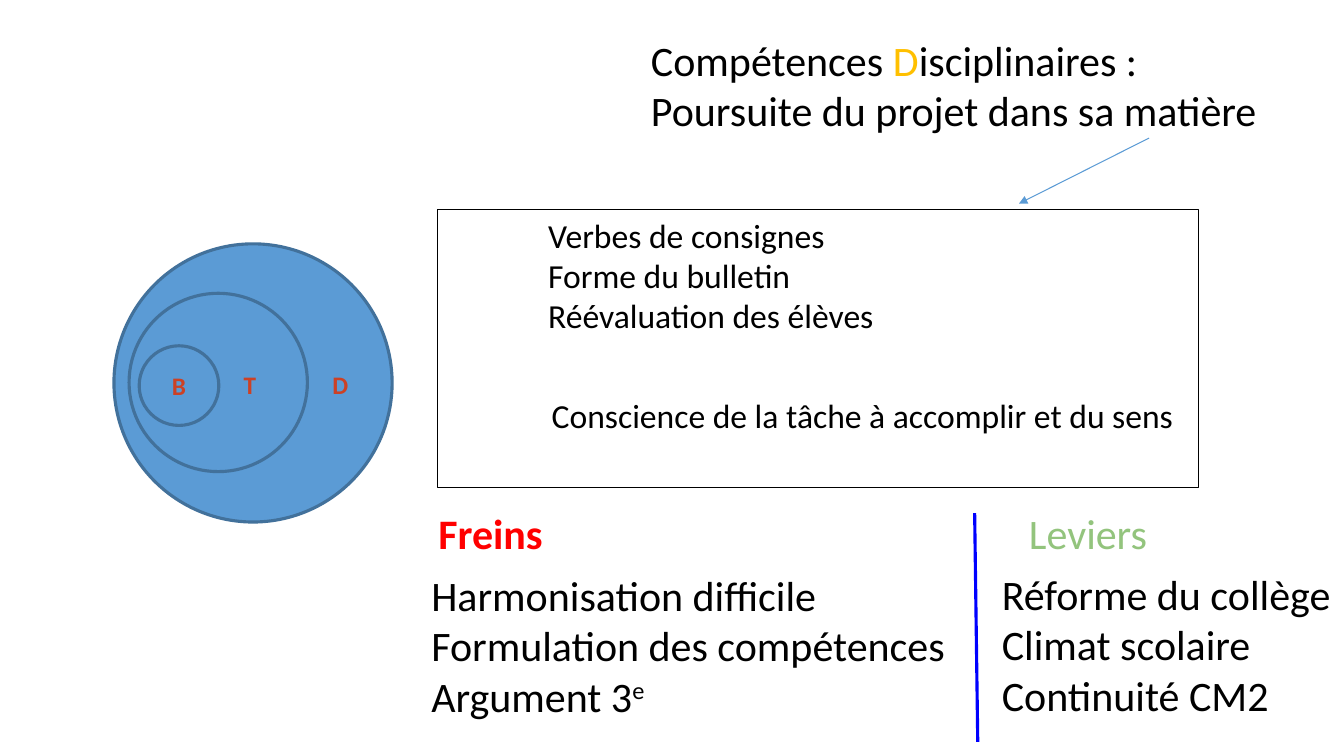
"""Builds the slide on subject skills, with its obstacles and levers."""
import pptx
import pptx.dml.color
import pptx.enum.shapes
import pptx.enum.text
import pptx.oxml
import pptx.util
from pptx.oxml.ns import qn

Pt = pptx.util.Pt
Shape = pptx.enum.shapes.MSO_SHAPE

THEME = {
    "font": "Calibri",
    "big": 30, "mid": 24, "small": 18,
    "ink": "000000", "gold": "FFC000", "brick": "CC4125",
    "red": "FF0000", "green": "93C47D",
    "disc": "5B9BD5", "rim": "42719B", "rule": "0000FF",
    "thin": 0.75, "thick": 2.25,
}

DISCS = [(81.4, 174.2, 198.7), (92.2, 209.5, 127.4), (99.4, 247, 56.9)]
CORE = "B"

# Each text: place, size, bold, lines of (words, colour, raised) runs
TEXTS = [
    ((167, 260.6, 23, 28.8), "small", True, [[("T", "brick", False)]]),
    ((230.4, 260.6, 25.9, 28.8), "small", True, [[("D", "brick", False)]]),
    ((457.9, 20.9, 487.4, 116.6), "big", False, [
        [("Compétences ", "ink", False), ("D", "gold", False),
         ("isciplinaires :", "ink", False)],
        [("Poursuite du projet dans sa matière", "ink", False)]]),
    ((301, 403.2, 385.2, 116.6), "big", False, [
        [("Harmonisation difficile", "ink", False)],
        [("Formulation des compétences", "ink", False)],
        [("Argument 3", "ink", False), ("e", "ink", True)]]),
    ((708.5, 402.5, 251.3, 116.6), "big", False, [
        [("Réforme du collège", "ink", False)],
        [("Climat scolaire", "ink", False)],
        [("Continuité CM2", "ink", False)]]),
    ((727.9, 359.3, 99.4, 43.9), "big", False, [[("Leviers", "green", False)]]),
    ((306, 359.3, 104.4, 43.9), "big", True, [[("Freins", "red", False)]]),
]

PANEL = (312.5, 149.8, 543.6, 198.7)
TASKS = ["Verbes de consignes", "Forme du bulletin", "Réévaluation des élèves"]
SENSE = "Conscience de la tâche à accomplir et du sens"
INDENT, SHIFT, GAP = 72, 74.5, 42

ARROW = (820.8, 98.6, 727.9, 145.4)
SPLIT = (696.2, 366.5, 698.4, 529.9)


def tint(name):
    return pptx.dml.color.RGBColor.from_string(THEME[name])


def write(frame, lines, size, bold=False):
    frame.word_wrap = True
    for num, line in enumerate(lines):
        para = frame.paragraphs[0] if num == 0 else frame.add_paragraph()
        para.alignment = pptx.enum.text.PP_ALIGN.LEFT
        for words, hue, raised in line:
            run = para.add_run()
            run.text = words
            run.font.name = THEME["font"]
            run.font.size = Pt(THEME[size])
            run.font.bold = bold
            run.font.color.rgb = tint(hue)
            if raised:
                run.font._element.set("baseline", "30000")


def draw(slide, kind, place, fill, edge, width):
    shape = slide.shapes.add_shape(kind, *map(Pt, place))
    shape.shadow.inherit = False
    if fill:
        shape.fill.solid()
        shape.fill.fore_color.rgb = tint(fill)
    else:
        shape.fill.background()
    shape.line.color.rgb = tint(edge)
    shape.line.width = Pt(THEME[width])
    return shape


def link(slide, ends, hue, width, arrow=False):
    kind = pptx.enum.shapes.MSO_CONNECTOR.STRAIGHT
    line = slide.shapes.add_connector(kind, *map(Pt, ends))
    line.line.color.rgb = tint(hue)
    line.line.width = Pt(THEME[width])
    props = line._element.spPr
    if arrow:
        tip = pptx.oxml.xmlchemy.OxmlElement("a:tailEnd")
        tip.set("type", "triangle")
        props.find(qn("a:ln")).append(tip)
    props.append(pptx.oxml.xmlchemy.OxmlElement("a:effectLst"))


def main():
    deck = pptx.Presentation()
    deck.slide_width, deck.slide_height = Pt(960), Pt(540)
    slide = deck.slides.add_slide(deck.slide_layouts[6])

    for left, top, side in DISCS:
        disc = draw(slide, Shape.OVAL, (left, top, side, side),
                    "disc", "rim", "thick")
    write(disc.text_frame, [[(CORE, "brick", False)]], "small", True)
    disc.text_frame.paragraphs[0].alignment = pptx.enum.text.PP_ALIGN.CENTER
    disc.text_frame.vertical_anchor = pptx.enum.text.MSO_ANCHOR.MIDDLE

    for place, size, bold, lines in TEXTS:
        box = slide.shapes.add_textbox(*map(Pt, place))
        write(box.text_frame, lines, size, bold)

    panel = draw(slide, Shape.RECTANGLE, PANEL, None, "ink", "thin")
    frame = panel.text_frame
    frame.vertical_anchor = pptx.enum.text.MSO_ANCHOR.TOP
    write(frame, [[(words, "ink", False)] for words in TASKS + [SENSE]], "mid")
    for para in frame.paragraphs:
        last = para.text == SENSE
        para._p.get_or_add_pPr().set("marL", str(Pt(SHIFT if last else INDENT)))
        if last:
            para.space_before = Pt(GAP)

    link(slide, ARROW, "disc", "thin", arrow=True)
    link(slide, SPLIT, "rule", "thick")
    deck.save("out.pptx")


if __name__ == "__main__":
    main()
